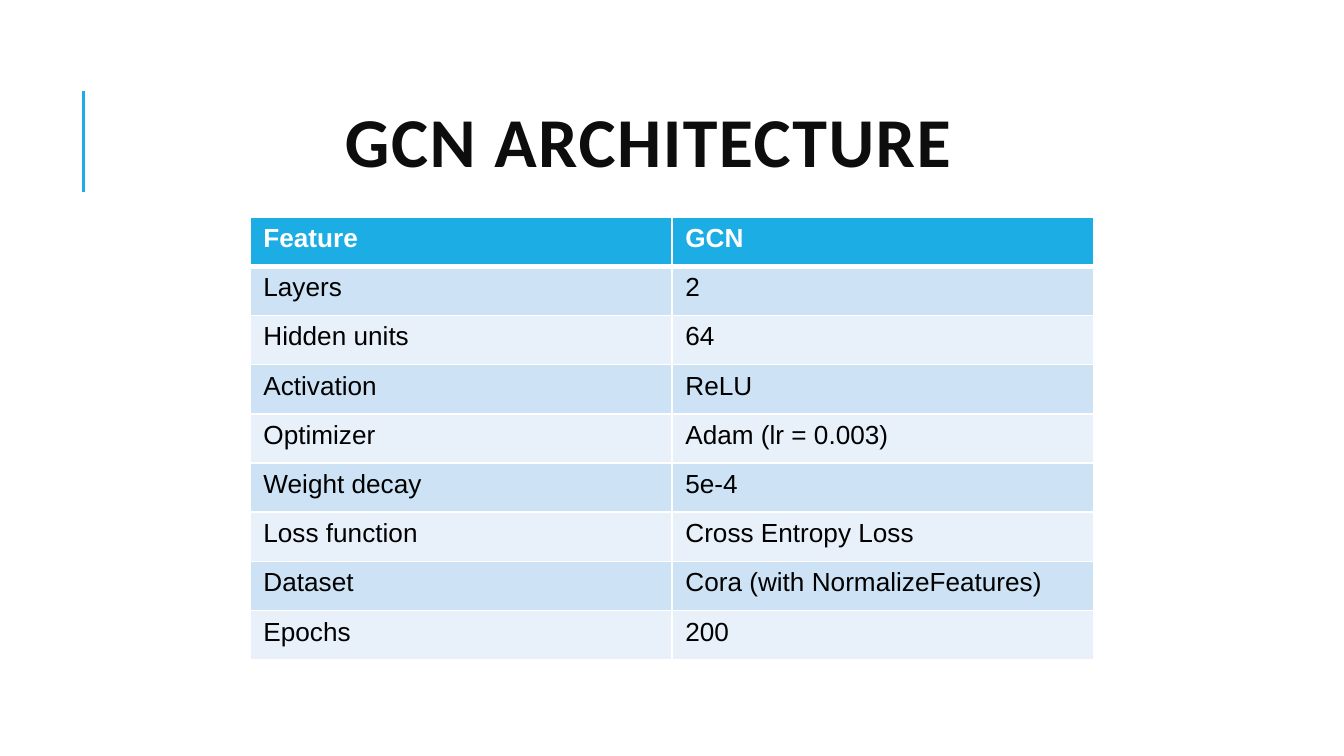
from dataclasses import dataclass

from lxml import etree
from pptx import Presentation
from pptx.dml.color import RGBColor
from pptx.enum.shapes import MSO_CONNECTOR
from pptx.enum.text import MSO_ANCHOR, PP_ALIGN
from pptx.oxml.ns import qn
from pptx.util import Inches, Pt

STRAIGHT = MSO_CONNECTOR.STRAIGHT
MIDDLE = MSO_ANCHOR.MIDDLE
CENTER = PP_ALIGN.CENTER

ROWS = [
    ("Feature", "GCN"),
    ("Layers", "2"),
    ("Hidden units", "64"),
    ("Activation", "ReLU"),
    ("Optimizer", "Adam (lr = 0.003)"),
    ("Weight decay", "5e-4"),
    ("Loss function", "Cross Entropy Loss"),
    ("Dataset", "Cora (with NormalizeFeatures)"),
    ("Epochs", "200"),
]


@dataclass(frozen=True)
class Theme:
    """Colours, fonts and sizes of the slide."""
    accent: str = "1CADE4"
    bands: tuple = ("E8F1FA", "CDE3F5")
    white: str = "FFFFFF"
    black: str = "000000"
    title_color: str = "0D0D0D"
    title_font: str = "Calibri"
    body_font: str = "Arial"
    title_size: float = 37.5
    body_size: float = 14
    tracking: float = 0.8
    rule: float = 1.5
    border: float = 1
    header_border: float = 3


class SlideBuilder:
    """Draws elements on one slide, placed in percent of its size."""

    def __init__(self, prs, theme):
        """Add a blank slide."""
        self.width, self.height = prs.slide_width, prs.slide_height
        self.theme = theme
        self.s = prs.slides.add_slide(prs.slide_layouts[6])

    def box(self, x, y, w, h):
        """Turn percentages of the slide into lengths."""
        return (round(x * self.width / 100), round(y * self.height / 100),
                round(w * self.width / 100), round(h * self.height / 100))

    def style(self, p, font, size, color, bold):
        """Format every run of a paragraph."""
        for r in p.runs:
            r.font.name, r.font.size, r.font.bold = font, Pt(size), bold
            r.font.color.rgb = RGBColor.from_string(color)

    def rule(self, x, top, bottom):
        """Draw a vertical accent line."""
        line = self.s.shapes.add_connector(STRAIGHT, *self.box(x, bottom, x, top))
        line.line.color.rgb = RGBColor.from_string(self.theme.accent)
        line.line.width = Pt(self.theme.rule)
        etree.SubElement(line._element.spPr, qn("a:effectLst"))

    def title(self, text, *area):
        """Write the centred, letter-spaced title."""
        t = self.theme
        tf = self.s.shapes.add_textbox(*self.box(*area)).text_frame
        tf.word_wrap, tf.vertical_anchor = True, MIDDLE
        tf.text = text
        p = tf.paragraphs[0]
        p.alignment, p.line_spacing = CENTER, 0.8
        self.style(p, t.title_font, t.title_size, t.title_color, True)
        for r in p.runs:
            r.font._element.set("spc", str(round(t.tracking * 100)))

    def borders(self, cell, top, bottom):
        """Give a cell white borders."""
        t = self.theme
        widths = {"lnL": t.border, "lnR": t.border, "lnT": top, "lnB": bottom}
        tcPr = cell._tc.get_or_add_tcPr()
        for i, (tag, width) in enumerate(widths.items()):
            ln = etree.Element(qn(f"a:{tag}"), w=str(int(Pt(width))))
            fill = etree.SubElement(ln, qn("a:solidFill"))
            etree.SubElement(fill, qn("a:srgbClr"), val=t.white)
            tcPr.insert(i, ln)

    def table(self, rows, *area):
        """Add a banded table with equal rows and columns."""
        t = self.theme
        shape = self.s.shapes.add_table(len(rows), len(rows[0]), *self.box(*area))
        for i, row in enumerate(rows):
            header = i == 0
            fill = t.accent if header else t.bands[i % 2]
            color = t.white if header else t.black
            top = t.header_border if i == 1 else t.border
            bottom = t.header_border if header else t.border
            for j, text in enumerate(row):
                cell = shape.table.cell(i, j)
                cell.text_frame.text = text
                self.style(cell.text_frame.paragraphs[0], t.body_font,
                           t.body_size, color, header)
                cell.fill.solid()
                cell.fill.fore_color.rgb = RGBColor.from_string(fill)
                self.borders(cell, top, bottom)


def main():
    """Build and save the slide."""
    prs = Presentation()
    prs.slide_width = Inches(10)
    prs.slide_height = prs.slide_width * 9 // 16
    slide = SlideBuilder(prs, Theme())
    slide.rule(6.2, 12.1, 25.4)
    slide.title("GCN ARCHITECTURE", 8.4, 8.5, 79.7, 21.9)
    slide.table(ROWS, 18.6, 28.7, 62.8, 58.6)
    prs.save("out.pptx")


if __name__ == "__main__":
    main()
